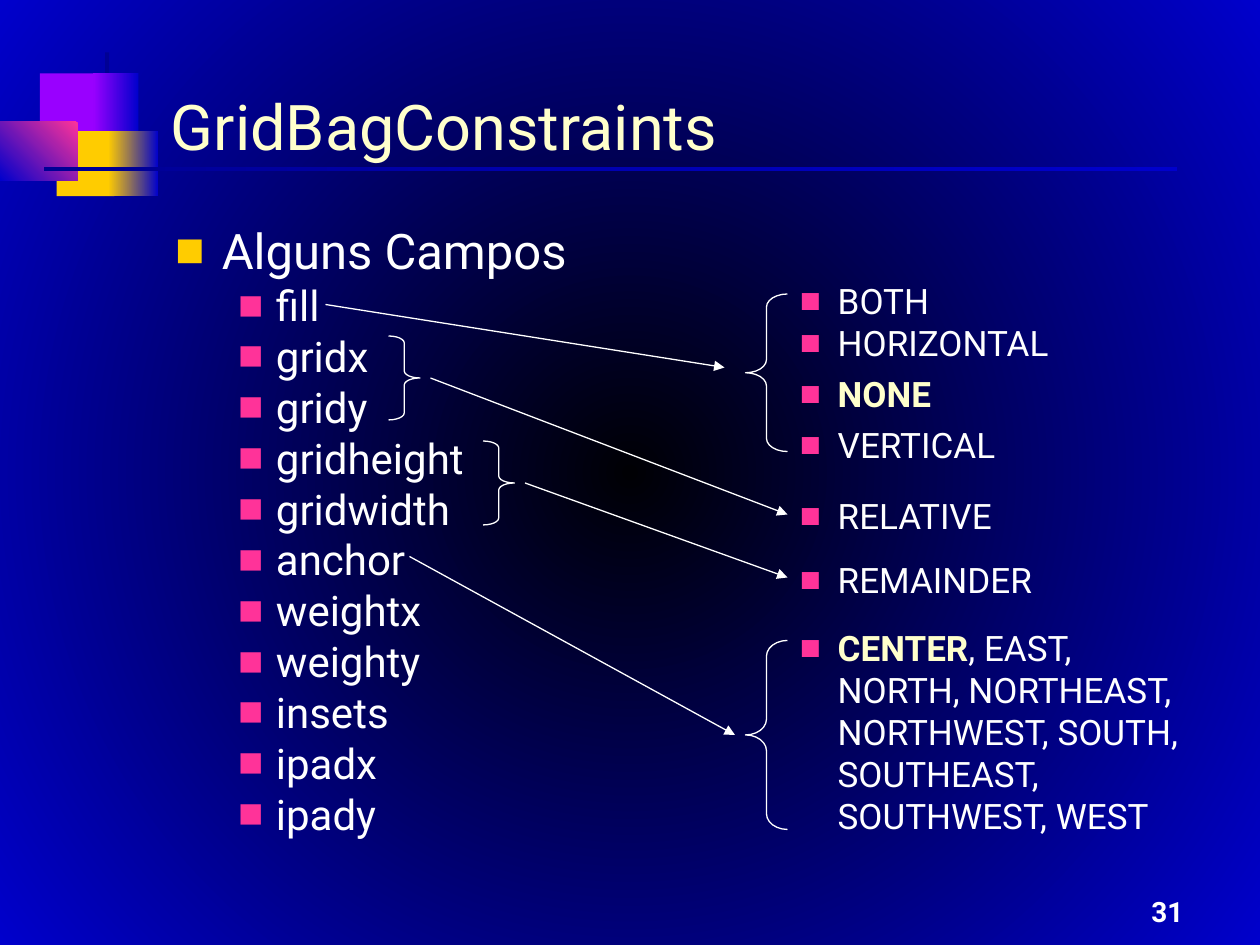
import pptx
import pptx.util
from lxml import etree
from pptx.dml.color import RGBColor
from pptx.enum.shapes import MSO_CONNECTOR, MSO_SHAPE
from pptx.enum.text import MSO_ANCHOR, PP_ALIGN
from pptx.oxml.ns import qn

FONT = "Roboto"
BLACK = RGBColor(0x00, 0x00, 0x04)
BLUE = RGBColor(0x00, 0x00, 0xCC)
NAVY = RGBColor(0x00, 0x00, 0x94)
PURPLE = RGBColor(0x99, 0x00, 0xFF)
GOLD = RGBColor(0xFF, 0xCC, 0x00)
PINK = RGBColor(0xFF, 0x33, 0x99)
CREAM = RGBColor(0xFF, 0xFF, 0xCC)
WHITE = RGBColor(0xFF, 0xFF, 0xFF)

COLUMNS, ROWS = 120, 90  # grid of 1/12 inch cells


def cells(*counts):
    return [pptx.util.Inches(count / 12) for count in counts]


def inside(box, left, top, width, height):
    """Cell box measured from the corner of its region."""
    return box[0] + left, box[1] + top, width, height


def set_gradient(fill, start, end, angle=0):
    fill.gradient()
    fill.gradient_angle = angle
    for stop, color in zip(fill.gradient_stops, (start, end)):
        stop.color.rgb = color


def add_background(slide):
    set_gradient(slide.background.fill, BLACK, BLUE)
    # Turn the linear gradient into a circular one
    linear = slide.element.find(".//" + qn("a:lin"))
    circle = etree.Element(qn("a:path"), path="circle")
    etree.SubElement(circle, qn("a:fillToRect"), l="50000", t="50000", r="50000", b="50000")
    linear.getparent().replace(linear, circle)


def add_ornament(slide, box):
    """Overlapping squares with the rules that cross them."""
    tiles = [
        ((10, 0, 0.4, 13.8), NAVY, None, 0),
        ((3.8, 2, 5.8, 6.2), PURPLE, None, 0),
        ((8.9, 2, 4.3, 6.2), BLUE, PURPLE, 180),
        ((5.4, 7.5, 5.5, 6.2), GOLD, None, 0),
        ((10.3, 7.5, 4.8, 6.2), BLUE, GOLD, 180),
        ((0, 6.6, 7.4, 5.6), PINK, BLUE, 225),
        ((4.2, 10.9, 107.9, 0.4), BLUE, NAVY, 180),
    ]
    for place, start, end, angle in tiles:
        tile = slide.shapes.add_shape(MSO_SHAPE.RECTANGLE, *cells(*inside(box, *place)))
        tile.shadow.inherit = False
        tile.line.fill.background()
        if end is None:
            tile.fill.solid()
            tile.fill.fore_color.rgb = start
        else:
            set_gradient(tile.fill, start, end, angle)


def add_frame(slide, box, anchor=MSO_ANCHOR.TOP):
    frame = slide.shapes.add_textbox(*cells(*box)).text_frame
    frame.word_wrap = True
    frame.vertical_anchor = anchor
    return frame


def style(paragraph, size, color=WHITE, bold=False):
    font = paragraph.font
    font.name, font.size, font.bold = FONT, pptx.util.Pt(size), bold
    font.color.rgb = color


def add_line_of_text(slide, box, text, size, color, bold=False, align=PP_ALIGN.LEFT):
    paragraph = add_frame(slide, box, MSO_ANCHOR.BOTTOM).paragraphs[0]
    paragraph.text = text
    paragraph.alignment = align
    style(paragraph, size, color, bold)


def add_bullet(paragraph, color, margin, hanging):
    properties = paragraph._p.get_or_add_pPr()
    properties.set("marL", str(pptx.util.Inches(margin)))
    properties.set("indent", str(-pptx.util.Inches(hanging)))
    bullet_color = etree.SubElement(properties, qn("a:buClr"))
    etree.SubElement(bullet_color, qn("a:srgbClr"), val=str(color))
    etree.SubElement(properties, qn("a:buFont"), typeface="Arial")
    etree.SubElement(properties, qn("a:buChar"), char="■")


def add_item(frame, text, size, spacing=1.0, before=0, color=WHITE, bold=False, top_level=False):
    paragraph = frame.paragraphs[0]
    if paragraph.runs:
        paragraph = frame.add_paragraph()
    paragraph.add_run().text = text
    paragraph.line_spacing = spacing
    paragraph.space_before = pptx.util.Pt(before)
    if top_level:
        add_bullet(paragraph, GOLD, 0.37, 0.37)
    else:
        paragraph.level = 1
        add_bullet(paragraph, PINK, 0.8, 0.3)
    style(paragraph, size, color, bold)
    return paragraph


def add_fields(slide, box):
    frame = add_frame(slide, box)
    add_item(frame, "Alguns Campos", 28, 0.8, top_level=True)
    for field in ("fill", "gridx", "gridy", "gridheight", "gridwidth", "anchor",
                  "weightx", "weighty", "insets", "ipadx", "ipady"):
        add_item(frame, field, 24, 0.8, 6)


def add_values(slide, box):
    frame = add_frame(slide, box)
    add_item(frame, "BOTH", 20)
    add_item(frame, "HORIZONTAL", 20, 0.8, 5)
    add_item(frame, "NONE", 20, 1.0, 5, CREAM, True)
    add_item(frame, "VERTICAL", 20, 1.0, 5)
    add_item(frame, "RELATIVE", 20, 1.5, 5)
    add_item(frame, "REMAINDER", 20, 1.3, 5)
    anchors = add_item(frame, "CENTER", 20, 1.0, 15)
    default = anchors.runs[0].font
    default.bold = True
    default.color.rgb = CREAM
    anchors.add_run().text = (", EAST, NORTH, NORTHEAST, NORTHWEST, SOUTH, "
                              "SOUTHEAST, SOUTHWEST, WEST")


def add_links(slide, box):
    """Braces around groups, and arrows from fields to their values."""
    braces = [
        (MSO_SHAPE.LEFT_BRACE, (56, 8, 4, 15)),
        (MSO_SHAPE.LEFT_BRACE, (56, 41, 4, 18)),
        (MSO_SHAPE.RIGHT_BRACE, (22, 12, 3, 8)),
        (MSO_SHAPE.RIGHT_BRACE, (31, 22, 3, 8)),
    ]
    for kind, place in braces:
        brace = slide.shapes.add_shape(kind, *cells(*inside(box, *place)))
        brace.shadow.inherit = False
        brace.fill.background()
        brace.line.color.rgb = WHITE
        brace.line.width = pptx.util.Pt(0.75)
        # The curl is a twelfth of the height
        brace.adjustments[0] = place[3] / 12 / place[2]

    left, top = box[:2]
    for x1, y1, x2, y2 in ((16, 9, 54, 15), (26, 16, 60, 29), (35, 26, 60, 35), (24, 33, 55, 50)):
        ends = cells(left + x1, top + y1, left + x2, top + y2)
        arrow = slide.shapes.add_connector(MSO_CONNECTOR.STRAIGHT, *ends)
        arrow.line.color.rgb = WHITE
        arrow.line.width = pptx.util.Pt(0.75)
        etree.SubElement(arrow.line._get_or_add_ln(), qn("a:tailEnd"), type="triangle")
        etree.SubElement(arrow._element.spPr, qn("a:effectLst"))


def add_content(slide, box):
    add_fields(slide, inside(box, 0.5, 1.5, 50, 59))
    add_values(slide, inside(box, 54, 6, 45.5, 54.4))
    add_links(slide, box)


def main():
    deck = pptx.Presentation()
    deck.slide_width, deck.slide_height = cells(COLUMNS, ROWS)
    slide = deck.slides.add_slide(deck.slide_layouts[6])
    add_background(slide)
    add_ornament(slide, (0, 5, 112, 14))
    add_line_of_text(slide, (89, 83, 24.9, 6), "31", 16, WHITE, True, PP_ALIGN.RIGHT)
    add_line_of_text(slide, (15.1, 6, 102.2, 10.1), "GridBagConstraints", 36, CREAM)
    add_content(slide, (15, 20, 100, 61))
    deck.save("out.pptx")


if __name__ == "__main__":
    main()
